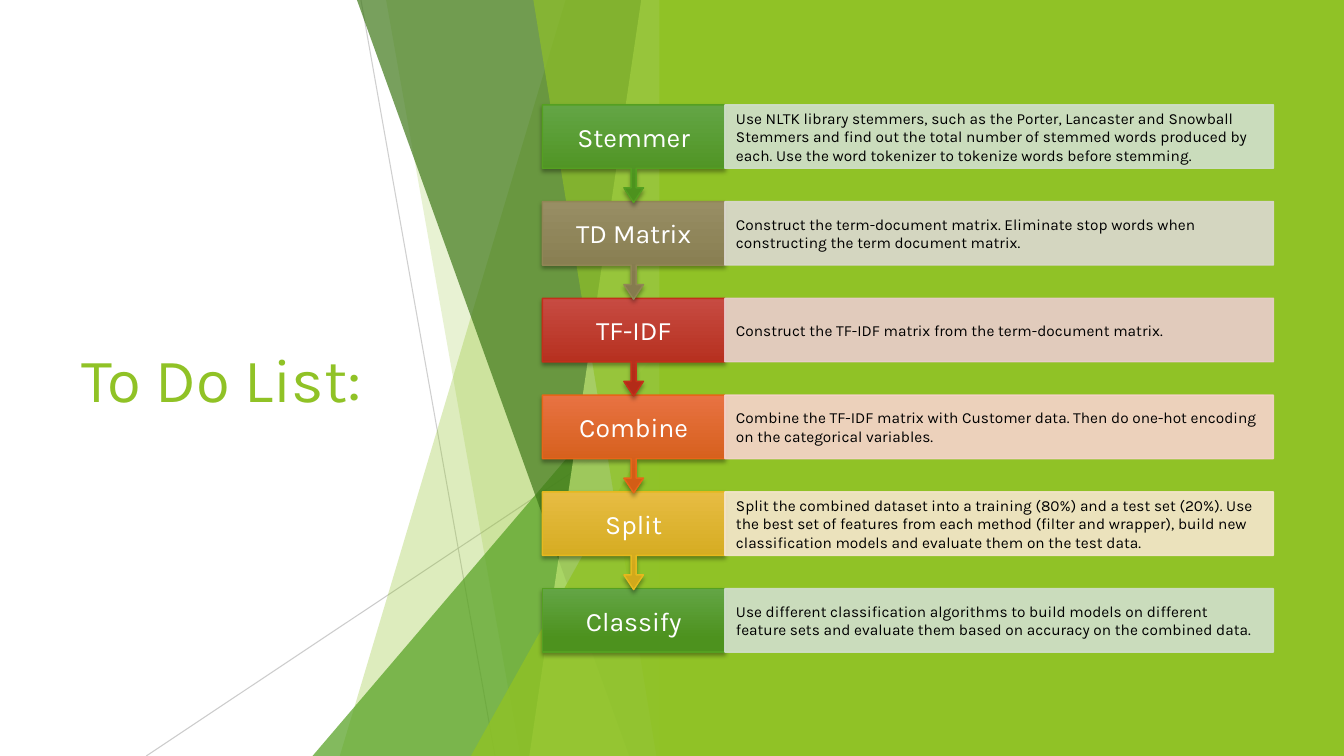
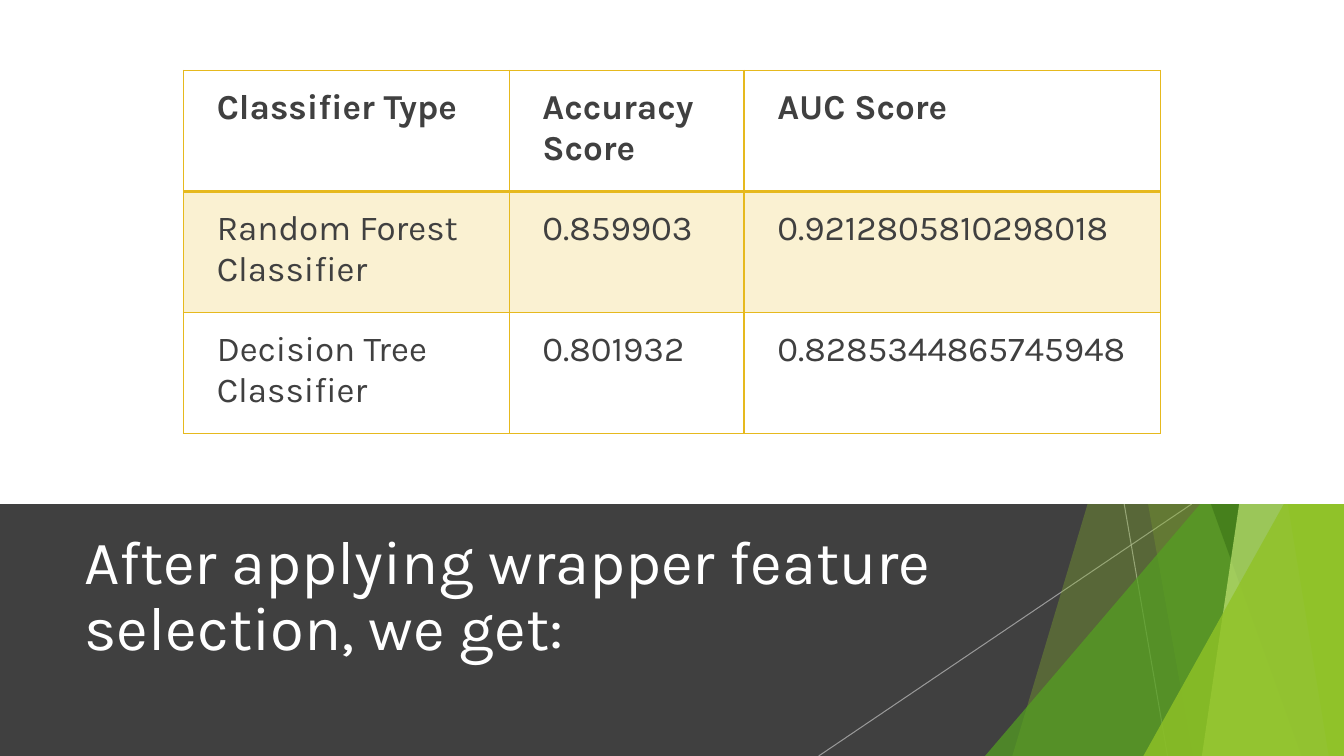
import lxml.etree
import pptx
import pptx.dml.color
import pptx.enum.dml
import pptx.enum.shapes
import pptx.enum.text
import pptx.oxml.ns
import pptx.util

Inches = pptx.util.Inches
Pt = pptx.util.Pt
qn = pptx.oxml.ns.qn
SHAPES = pptx.enum.shapes.MSO_SHAPE
ALIGN = pptx.enum.text.PP_ALIGN
ANCHOR = pptx.enum.text.MSO_ANCHOR

WIDTH, HEIGHT = 13.33, 7.5
LIME, GREEN, DARK_GREEN, PALE_LIME = "90C226", "54A021", "3F7819", "C0E474"
GOLD, CHARCOAL, WHITE, BLACK, GRAY = "E6B91E", "404040", "FFFFFF", "000000", "BFBFBF"

STEPS = [
    ("Stemmer", "Use NLTK library stemmers, such as the Porter, Lancaster and Snowball Stemmers and find out the total number of stemmed words produced by each. Use the word tokenizer to tokenize words before stemming.",
     "63A545", "4D921E", GREEN, "D1DFCD"),
    ("TD Matrix", "Construct the term-document matrix. Eliminate stop words when constructing the term document matrix.",
     "988E64", "857B4E", "918655", "DCD9D1"),
    ("TF-IDF", "Construct the TF-IDF matrix from the term-document matrix.",
     "C74B42", "B32B18", "C42F1A", "EACDCD"),
    ("Combine", "Combine the TF-IDF matrix with Customer data. Then do one-hot encoding on the categorical variables.",
     "E87242", "D35D16", "E76618", "F6D3CC"),
    ("Split", "Split the combined dataset into a training (80%) and a test set (20%). Use the best set of features from each method (filter and wrapper), build new classification models and evaluate them on the test data.",
     "E7BC43", "D2A91B", GOLD, "F5E6CD"),
    ("Classify", "Use different classification algorithms to build models on different feature sets and evaluate them based on accuracy on the combined data.",
     "63A545", "4D921E", GREEN, "D1DFCD"),
]

SCORES = [
    ("Classifier Type", "Accuracy Score", "AUC Score"),
    ("Random Forest Classifier", "0.859903", "0.9212805810298018"),
    ("Decision Tree Classifier", "0.801932", "0.8285344865745948"),
]


def color(value):
    return pptx.dml.color.RGBColor.from_string(value)


def set_opacity(element, percent):
    if percent < 100:
        for node in element.iter(qn("a:srgbClr")):
            lxml.etree.SubElement(node, qn("a:alpha"), val=str(percent * 1000))


def write_text(frame, text, size, fill, bold=False, align=ALIGN.LEFT,
               anchor=ANCHOR.MIDDLE, insets=(0.1, 0.05, 0.1, 0.05), spacing=None):
    frame.word_wrap = True
    frame.vertical_anchor = anchor
    frame.margin_left, frame.margin_top, frame.margin_right, frame.margin_bottom = map(Inches, insets)
    paragraph = frame.paragraphs[0]
    paragraph.alignment = align
    if spacing:
        paragraph.line_spacing = spacing
    run = paragraph.add_run()
    run.text = text
    run.font.name = Deck.font
    run.font.size = Pt(size)
    run.font.bold = bold
    run.font.color.rgb = color(fill)


class Deck:
    font = "Karla"
    title_size = 44

    def __init__(self):
        self.presentation = pptx.Presentation()
        self.presentation.slide_width = Inches(WIDTH)
        self.presentation.slide_height = Inches(HEIGHT)
        self.slide = None

    def add_slide(self):
        self.slide = self.presentation.slides.add_slide(self.presentation.slide_layouts[6])

    def paint(self, shape, fill, opacity=100, line=None):
        shape.shadow.inherit = False
        shape.fill.solid()
        shape.fill.fore_color.rgb = color(fill)
        if line:
            shape.line.color.rgb = color(line)
            shape.line.width = Pt(1)
        else:
            shape.line.fill.background()
        set_opacity(shape.element, opacity)
        return shape

    def shape(self, kind, left, top, width, height):
        return self.slide.shapes.add_shape(kind, *map(Inches, (left, top, width, height)))

    def rectangle(self, left, top, width, height, fill, **style):
        return self.paint(self.shape(SHAPES.RECTANGLE, left, top, width, height), fill, **style)

    def title(self, text, left, top, width, height, fill, spacing=None):
        box = self.slide.shapes.add_textbox(*map(Inches, (left, top, width, height)))
        write_text(box.text_frame, text, self.title_size, fill, spacing=spacing)

    def line(self, start, end, opacity):
        connector = self.slide.shapes.add_connector(
            pptx.enum.shapes.MSO_CONNECTOR.STRAIGHT, *map(Inches, (*start, *end)))
        connector.line.color.rgb = color(GRAY)
        connector.line.width = Pt(0.75)
        set_opacity(connector.element, opacity)
        lxml.etree.SubElement(connector.element.spPr, qn("a:effectLst"))

    def facet(self, right, top_width, bottom_width, fill, opacity):
        builder = self.slide.shapes.build_freeform(
            Inches(right - top_width), 0, scale=1.0)
        corners = [(right, 0), (right, HEIGHT), (right - bottom_width, HEIGHT)]
        builder.add_line_segments([(Inches(x), Inches(y)) for x, y in corners], close=True)
        self.paint(builder.convert_to_shape(), fill, opacity)

    def wedge(self, right, width, height, fill, opacity):
        triangle = self.shape(SHAPES.ISOSCELES_TRIANGLE, right - width, HEIGHT - height, width, height)
        triangle.adjustments[0] = 1
        self.paint(triangle, fill, opacity)

    def facets(self, right):
        self.facet(right, 1.05, 3.29, LIME, 30)
        self.facet(right, 2.83, 1.5, LIME, 20)
        self.wedge(right, 3.56, 4.17, GREEN, 72)
        self.facet(right, 3.12, 0.42, DARK_GREEN, 70)
        self.facet(right, 0.3, 1.41, PALE_LIME, 70)
        self.facet(right, 1.37, 0.15, LIME, 65)
        self.wedge(right, 1.99, 3.57, LIME, 80)

    def step_label(self, text, left, top, width, height, light, dark, line, pointer):
        if pointer:
            label = self.shape(SHAPES.DOWN_ARROW_CALLOUT, left, top, width, height / 0.65)
            for index, value in enumerate((0.05, 0.1, 0.15, 0.65)):
                label.adjustments[index] = value
        else:
            label = self.shape(SHAPES.RECTANGLE, left, top, width, height)
        self.paint(label, light, line=line)
        label.fill.gradient()
        label.fill.gradient_angle = 270
        for stop, value, position in zip(label.fill.gradient_stops, (light, dark), (0, 0.78)):
            stop.color.rgb = color(value)
            stop.position = position
        effects = label.element.spPr.find(qn("a:effectLst"))
        shadow = lxml.etree.SubElement(
            effects, qn("a:outerShdw"), blurRad=str(Pt(3)), dist=str(Pt(2)),
            dir="5400000", algn="ctr", rotWithShape="0")
        shade = lxml.etree.SubElement(shadow, qn("a:srgbClr"), val=BLACK)
        lxml.etree.SubElement(shade, qn("a:alpha"), val="35000")
        write_text(label.text_frame, text, 19, WHITE, align=ALIGN.CENTER)

    def steps(self, steps, left, top, label_width, body_width, height, pitch):
        for index, (name, text, light, dark, line, tint) in reversed(list(enumerate(steps))):
            row_top = top + index * pitch
            self.step_label(name, left, row_top, label_width, height, light, dark, line,
                            pointer=index < len(steps) - 1)
            body = self.rectangle(left + label_width, row_top, body_width, height, tint,
                                  opacity=90, line=tint)
            write_text(body.text_frame, text, 11, BLACK, insets=(0.11, 0.03, 0.11, 0.03))

    def cell_borders(self, cell, widths):
        properties = cell._tc.get_or_add_tcPr()
        for index, (side, width) in enumerate(zip("LRTB", widths)):
            border = lxml.etree.Element(qn("a:ln" + side), w=str(Pt(width)))
            fill = lxml.etree.SubElement(border, qn("a:solidFill"))
            lxml.etree.SubElement(fill, qn("a:srgbClr"), val=GOLD)
            properties.insert(index, border)

    def table(self, rows, left, top, column_widths, row_height):
        frame = self.slide.shapes.add_table(
            len(rows), len(column_widths),
            *map(Inches, (left, top, sum(column_widths), row_height * len(rows))))
        table = frame.table
        table.first_row = table.horz_banding = False
        for column, width in zip(table.columns, column_widths):
            column.width = Inches(width)
        for row_index, texts in enumerate(rows):
            table.rows[row_index].height = Inches(row_height)
            for column_index, text in enumerate(texts):
                cell = table.cell(row_index, column_index)
                write_text(cell.text_frame, text, 25, CHARCOAL, bold=row_index == 0)
                cell.vertical_anchor = ANCHOR.TOP
                cell.margin_left, cell.margin_right = Inches(0.33), Inches(0.28)
                cell.margin_top = cell.margin_bottom = Inches(0.17)
                if row_index % 2:
                    cell.fill.solid()
                    cell.fill.fore_color.rgb = color(GOLD)
                    set_opacity(cell._tc.tcPr, 20)
                else:
                    cell.fill.background()
                self.cell_borders(cell, (1, 1, 2 if row_index == 1 else 1, 2 if row_index == 0 else 1))


def build_to_do_slide(deck):
    deck.add_slide()
    deck.title("To Do List:", 0.71, 1.51, 3.88, 4.48, LIME)
    deck.line((3.58, 0), (4.91, HEIGHT), 75)
    deck.line((6.66, 4.03), (1.45, HEIGHT), 80)
    deck.facets(6.66)
    deck.rectangle(6.54, 0, WIDTH - 6.54, HEIGHT, LIME)
    deck.steps(STEPS, left=5.38, top=1.04, label_width=1.81, body_width=5.44, height=0.63, pitch=0.96)


def build_scores_slide(deck):
    band_top = 5
    deck.add_slide()
    deck.rectangle(0, band_top, WIDTH, HEIGHT - band_top, CHARCOAL)
    deck.line((11.15, band_top), (11.58, HEIGHT), 70)
    deck.line((11.82, band_top), (8.12, HEIGHT), 70)
    deck.facets(WIDTH)
    deck.title("After applying wrapper feature selection, we get:", 0.74, 5.21, 9.4, 1.44, WHITE, spacing=0.9)
    deck.rectangle(0, 0, WIDTH, band_top, WHITE)
    deck.table(SCORES, 1.82, 0.7, (3.23, 2.33, 4.13), 1.2)


def main():
    deck = Deck()
    build_to_do_slide(deck)
    build_scores_slide(deck)
    deck.presentation.save("out.pptx")


if __name__ == "__main__":
    main()
